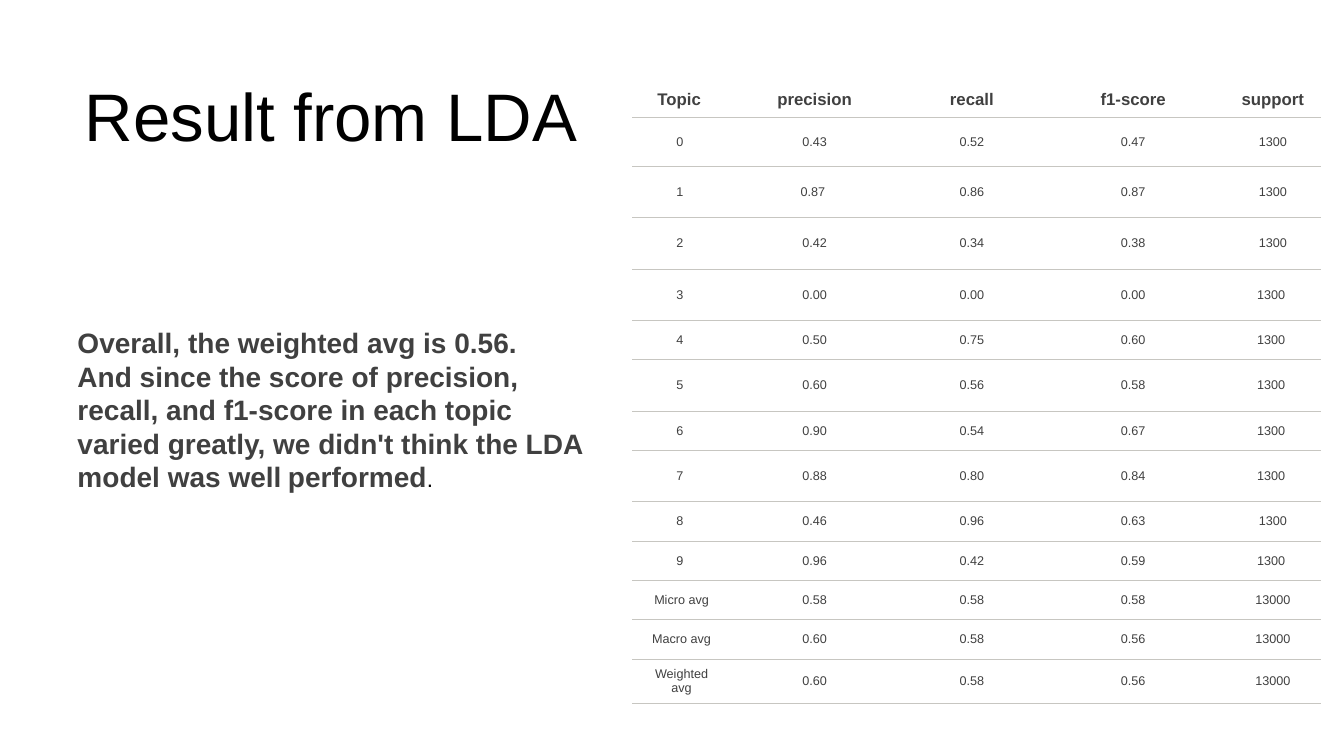
from dataclasses import dataclass

from lxml.etree import SubElement
from pptx import Presentation
from pptx.dml.color import RGBColor
from pptx.enum.text import MSO_ANCHOR, MSO_AUTO_SIZE, PP_ALIGN
from pptx.oxml.ns import qn
from pptx.util import Inches, Pt


@dataclass(frozen=True)
class Theme:
    font: str = "Arial"
    black: str = "000000"
    gray: str = "404040"
    rule: str = "C7C6C1"
    line: float = 0.75
    title: int = 48
    body: int = 20
    small: int = 16
    head: int = 12
    cell: int = 9


THEME = Theme()
COLS = [0.94, 1.7, 1.42, 1.78, 0.99]
HEAD, FIRST, TALL, LOW = 0.37, 0.48, 0.51, 0.39
HEIGHTS = [HEAD, FIRST, TALL, TALL, TALL, LOW, TALL, LOW, TALL] + [LOW] * 5
# A tilde stands for a no-break space.
SCORES = [
    ["Topic~", "precision", "recall", "f1-score", "support"],
    ["0~", "0.43", "0.52", "0.47", "1300"],
    ["1~", "0.87~", "0.86", "0.87", "1300"],
    ["2~", "0.42", "0.34", "0.38", "1300"],
    ["3~", "0.00", "0.00", "0.00", "1300~"],
    ["4~", "0.50", "0.75", "0.60", "1300~"],
    ["5~", "0.60", "0.56", "0.58", "1300~"],
    ["6~", "0.90", "0.54", "0.67", "1300~"],
    ["7~", "0.88", "0.80", "0.84", "1300~"],
    ["8~", "0.46", "0.96", "0.63", "1300"],
    ["9~", "0.96", "0.42", "0.59", "1300~"],
    ["Micro avg", "0.58", "0.58", "0.58", "13000"],
    ["Macro avg", "0.60", "0.58", "0.56", "13000"],
    ["Weighted\navg", "0.60", "0.58", "0.56", "13000"],
]


def write(para, text, size, color=THEME.black, bold=False, align=PP_ALIGN.LEFT):
    """Add text to a paragraph, with a line break at each newline."""
    para.alignment = align
    for i, part in enumerate(text.split("\n")):
        if i:
            para.add_line_break()
        run = para.add_run()
        run.text = part
        font = run.font
        font.name, font.size, font.bold = THEME.font, Pt(size), bold
        font.color.rgb = RGBColor.from_string(color)


def add_box(slide, box):
    """Add a wrapping text box and return its first paragraph."""
    frame = slide.shapes.add_textbox(*map(Inches, box)).text_frame
    frame.word_wrap = True
    frame.auto_size = MSO_AUTO_SIZE.SHAPE_TO_FIT_TEXT
    return frame.paragraphs[0]


def add_title(slide, box):
    write(add_box(slide, box), "Result from LDA", THEME.title)


def add_summary(slide, box):
    para = add_box(slide, box)
    strong = {"size": THEME.body, "color": THEME.gray, "bold": True}
    write(para, "Overall, the weighted avg is 0.56. \nAnd since the score of "
          "precision, recall, and f1-score in each topic varied greatly, "
          "we didn't think the LDA model was well", **strong)
    write(para, " ", THEME.small)
    write(para, "performed", **strong)
    write(para, ".", THEME.small)


def set_rules(cell, sides):
    """Draw the named sides of a cell and clear the others."""
    props = cell._tc.get_or_add_tcPr()
    for side in "LRTB":
        line = SubElement(props, qn(f"a:ln{side}"), w=str(Pt(THEME.line)))
        if side in sides:
            fill = SubElement(line, qn("a:solidFill"))
            SubElement(fill, qn("a:srgbClr"), val=THEME.rule)
        else:
            SubElement(line, qn("a:noFill"))


def fill_cell(cell, text, head):
    set_rules(cell, "B" if head else "TB")
    cell.fill.background()
    cell.vertical_anchor = MSO_ANCHOR.MIDDLE
    cell.margin_left, cell.margin_right = Inches(0.14), Inches(0.1)
    cell.margin_top = cell.margin_bottom = Inches(0.07)
    frame = cell.text_frame
    for i, part in enumerate(text.replace("~", chr(160)).split("\n")):
        para = frame.add_paragraph() if i else frame.paragraphs[0]
        write(para, part, THEME.head if head else THEME.cell,
              color=THEME.gray, bold=head, align=PP_ALIGN.CENTER)


def add_scores(slide, left, top):
    box = map(Inches, (left, top, sum(COLS), sum(HEIGHTS)))
    table = slide.shapes.add_table(len(SCORES), len(COLS), *box).table
    table.first_row = table.horz_banding = False
    for col, width in zip(table.columns, COLS):
        col.width = Inches(width)
    for r, (row, height) in enumerate(zip(table.rows, HEIGHTS)):
        row.height = Inches(height)
        for cell, text in zip(row.cells, SCORES[r]):
            fill_cell(cell, text, head=r == 0)


def main():
    deck = Presentation()
    deck.slide_width, deck.slide_height = Inches(13.33), Inches(7.5)
    slide = deck.slides.add_slide(deck.slide_layouts[6])
    add_summary(slide, (0.67, 3.18, 5.29, 1.78))
    add_title(slide, (0.74, 0.69, 5.4, 0.91))
    add_scores(slide, 6.27, 0.8)
    deck.save("out.pptx")


if __name__ == "__main__":
    main()
